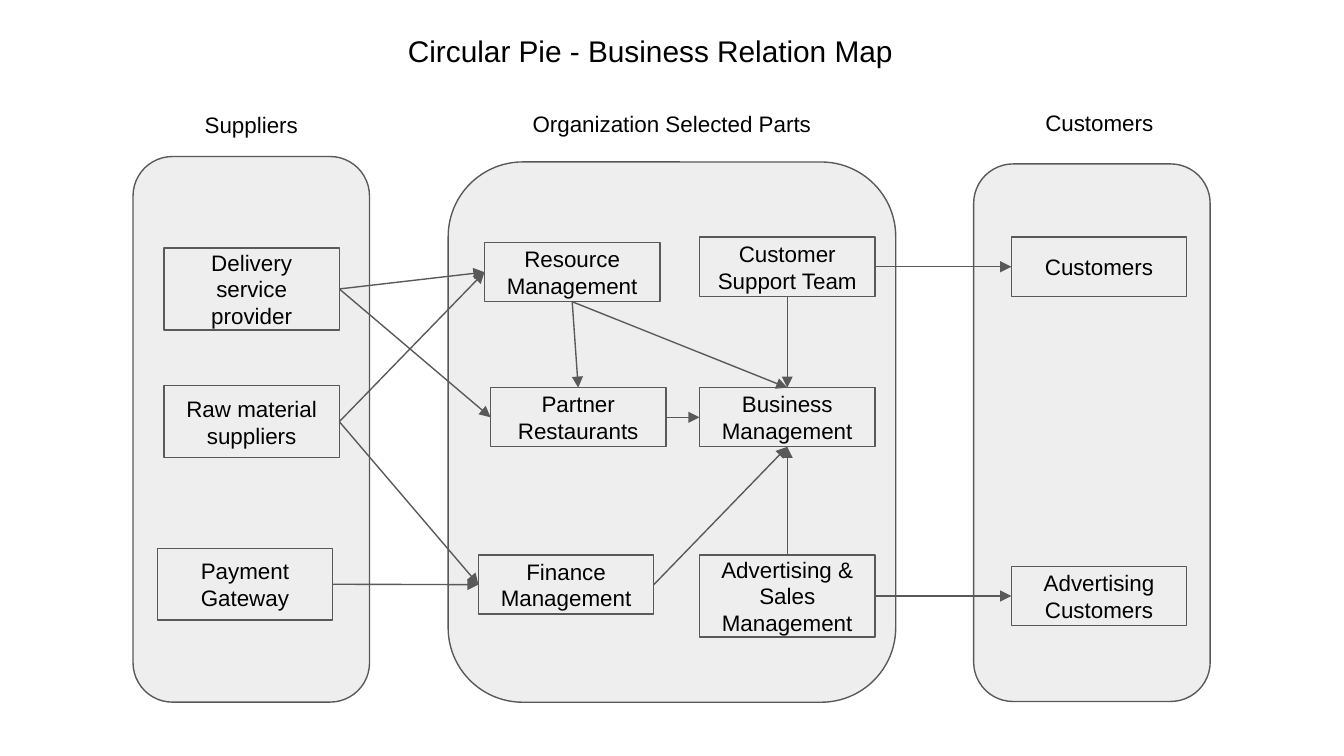
from dataclasses import dataclass

import pptx
import pptx.dml.color
import pptx.enum.shapes
import pptx.enum.text
import pptx.oxml.ns
import pptx.shapes.autoshape
import pptx.slide
import pptx.text.text
import pptx.util
from lxml import etree

PX = 4572  # EMU per px, 200 px to the inch
SLIDE_WIDTH, SLIDE_HEIGHT = 2000, 1125
INSET = 20
BLACK = pptx.dml.color.RGBColor(0x00, 0x00, 0x00)
GRAY = pptx.dml.color.RGBColor(0xEE, 0xEE, 0xEE)
DARK = pptx.dml.color.RGBColor(0x59, 0x59, 0x59)
LINE_WIDTH = pptx.util.Pt(0.75)
TOP, LEFT, BOTTOM, RIGHT = range(4)  # connection sites of a rectangle
RECT = pptx.enum.shapes.MSO_SHAPE.RECTANGLE
ROUNDED = pptx.enum.shapes.MSO_SHAPE.ROUNDED_RECTANGLE


@dataclass(frozen=True)
class Box:
    x: int
    y: int
    w: int
    h: int
    text: str = ""


@dataclass(frozen=True)
class Node:
    x: int
    y: int
    text: str
    h: int = 88
    w: int = 261

    def box(self) -> Box:
        return Box(self.x, self.y, self.w, self.h, self.text)


@dataclass(frozen=True)
class Link:
    start: str
    start_site: int
    end: str
    end_site: int


TITLE = Box(63, 28, 1810, 94, "Circular Pie - Business Relation Map")
PANELS = [
    Box(198, 233, 352, 812),
    Box(667, 241, 666, 804),
    Box(1449, 244, 352, 800),
]
HEADINGS = [
    Box(239, 146, 270, 80, "Suppliers"),
    Box(692, 144, 616, 80, "Organization Selected Parts"),
    Box(1501, 142, 270, 80, "Customers"),
]
NODES = {
    "delivery": Node(244, 369, "Delivery service provider", h=122),
    "materials": Node(244, 574, "Raw material suppliers", h=107),
    "payment": Node(234, 816, "Payment Gateway", h=107),
    "resource": Node(721, 361, "Resource Management"),
    "partners": Node(730, 577, "Partner Restaurants"),
    "finance": Node(712, 826, "Finance Management"),
    "support": Node(1041, 353, "Customer Support Team"),
    "business": Node(1041, 577, "Business\nManagement"),
    "sales": Node(1041, 826, "Advertising & Sales Management", h=122),
    "customers": Node(1505, 353, "Customers"),
    "advertisers": Node(1505, 843, "Advertising Customers"),
}
LINKS = [
    Link("delivery", RIGHT, "resource", LEFT),
    Link("delivery", RIGHT, "partners", LEFT),
    Link("materials", RIGHT, "resource", LEFT),
    Link("materials", RIGHT, "finance", LEFT),
    Link("payment", RIGHT, "finance", LEFT),
    Link("resource", BOTTOM, "partners", TOP),
    Link("resource", BOTTOM, "business", TOP),
    Link("partners", RIGHT, "business", LEFT),
    Link("finance", RIGHT, "business", BOTTOM),
    Link("support", BOTTOM, "business", TOP),
    Link("sales", TOP, "business", BOTTOM),
    Link("support", RIGHT, "customers", LEFT),
    Link("sales", RIGHT, "advertisers", LEFT),
]


def emu(box: Box) -> list[int]:
    return [n * PX for n in (box.x, box.y, box.w, box.h)]


def write_text(
    tf: pptx.text.text.TextFrame,
    text: str,
    *,
    size: int = 12,
    anchor: pptx.enum.text.MSO_ANCHOR = pptx.enum.text.MSO_ANCHOR.TOP,
) -> None:
    """Fill the frame with centred text, one paragraph per line of text."""
    tf.word_wrap = True
    tf.vertical_anchor = anchor
    tf.margin_left = tf.margin_right = tf.margin_top = tf.margin_bottom = INSET * PX
    for i, line in enumerate(text.split("\n")):
        p = tf.paragraphs[0] if i == 0 else tf.add_paragraph()
        p.alignment = pptx.enum.text.PP_ALIGN.CENTER
        r = p.add_run()
        r.text = line
        r.font.size = pptx.util.Pt(size)
        r.font.name = "Arial"
        r.font.color.rgb = BLACK


def add_label(s: pptx.slide.Slide, box: Box, size: int = 12) -> None:
    write_text(s.shapes.add_textbox(*emu(box)).text_frame, box.text, size=size)


def add_box(
    s: pptx.slide.Slide, box: Box, kind: pptx.enum.shapes.MSO_SHAPE = RECT
) -> pptx.shapes.autoshape.Shape:
    sp = s.shapes.add_shape(kind, *emu(box))
    sp.shadow.inherit = False
    sp.fill.solid()
    sp.fill.fore_color.rgb = GRAY
    sp.line.color.rgb = DARK
    sp.line.width = LINE_WIDTH
    if box.text:
        write_text(sp.text_frame, box.text, anchor=pptx.enum.text.MSO_ANCHOR.MIDDLE)
    return sp


def add_arrow(
    s: pptx.slide.Slide, link: Link, shapes: dict[str, pptx.shapes.autoshape.Shape]
) -> None:
    c = s.shapes.add_connector(pptx.enum.shapes.MSO_CONNECTOR.STRAIGHT, 0, 0, 0, 0)
    c.begin_connect(shapes[link.start], link.start_site)
    c.end_connect(shapes[link.end], link.end_site)
    c.line.color.rgb = DARK
    c.line.width = LINE_WIDTH
    qn = pptx.oxml.ns.qn
    ln = c._element.spPr.find(qn("a:ln"))
    etree.SubElement(ln, qn("a:tailEnd"), type="triangle")
    etree.SubElement(c._element.spPr, qn("a:effectLst"))


def main() -> None:
    prs = pptx.Presentation()
    prs.slide_width, prs.slide_height = SLIDE_WIDTH * PX, SLIDE_HEIGHT * PX
    s = prs.slides.add_slide(prs.slide_layouts[6])
    for panel in PANELS:
        add_box(s, panel, ROUNDED)
    for heading in HEADINGS:
        add_label(s, heading)
    shapes = {name: add_box(s, node.box()) for name, node in NODES.items()}
    for link in LINKS:
        add_arrow(s, link, shapes)
    add_label(s, TITLE, size=16)
    prs.save("out.pptx")


if __name__ == "__main__":
    main()
